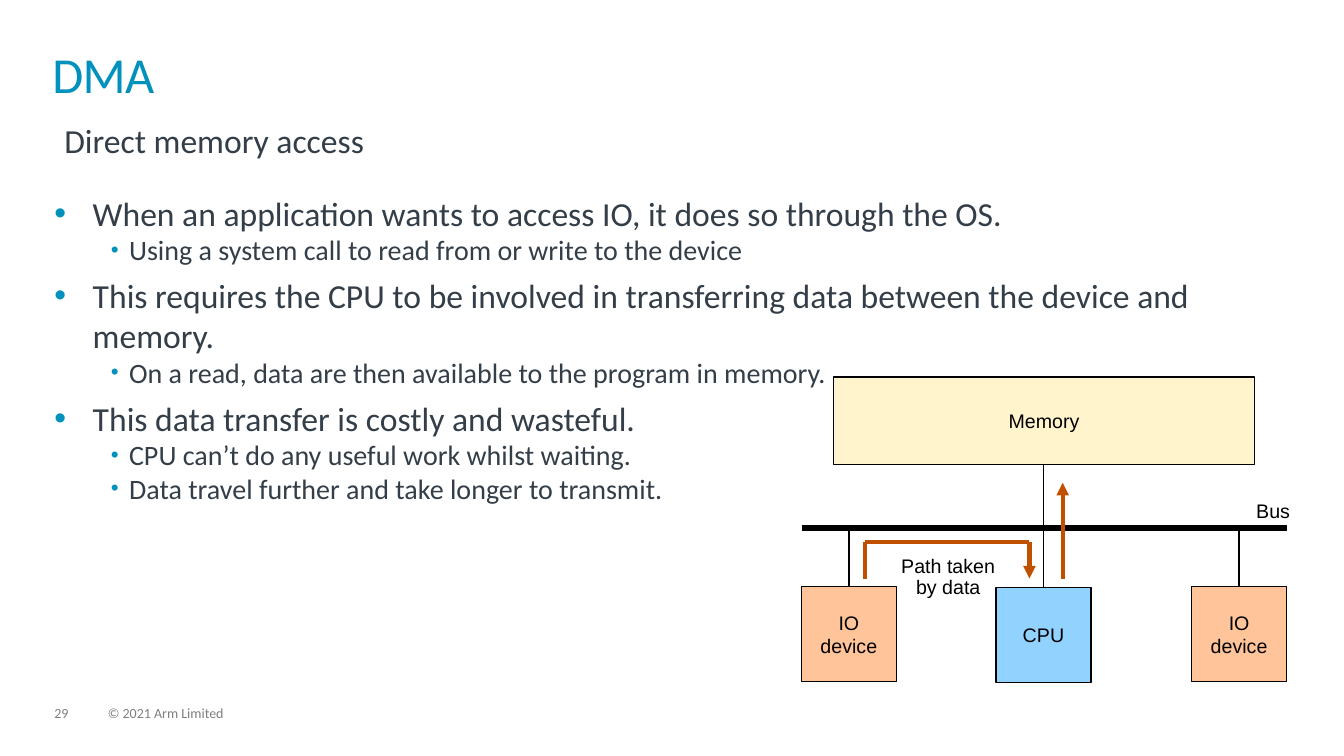
from lxml import etree
from pptx import Presentation
from pptx.dml.color import RGBColor
from pptx.enum.shapes import MSO_CONNECTOR, MSO_SHAPE
from pptx.enum.text import MSO_ANCHOR, MSO_AUTO_SIZE, PP_ALIGN
from pptx.oxml.ns import qn
from pptx.util import Pt

RECT = MSO_SHAPE.RECTANGLE
STRAIGHT = MSO_CONNECTOR.STRAIGHT
TOP, MIDDLE = MSO_ANCHOR.TOP, MSO_ANCHOR.MIDDLE
LEFT, CENTER = PP_ALIGN.LEFT, PP_ALIGN.CENTER
NO_FIT = MSO_AUTO_SIZE.NONE

BLACK = RGBColor(0x00, 0x00, 0x00)
GREY = RGBColor(0x7F, 0x7F, 0x7F)
SLATE = RGBColor(0x33, 0x3E, 0x48)
TEAL = RGBColor(0x00, 0x91, 0xBD)
CREAM = RGBColor(0xFF, 0xF4, 0xCC)
BLUE = RGBColor(0x92, 0xD2, 0xFF)
PEACH = RGBColor(0xFF, 0xC4, 0x99)
RUST = RGBColor(0xBF, 0x50, 0x00)

PX = 9144  # 100 px to the inch

TITLE = "DMA"
SUBTITLE = "Direct memory access"
POINTS = [
    (0, "When an application wants to access IO, it does so through the OS."),
    (1, "Using a system call to read from or write to the device"),
    (0, "This requires the CPU to be involved in transferring data between "
        "the device and memory."),
    (1, "On a read, data are then available to the program in memory."),
    (0, "This data transfer is costly and wasteful."),
    (1, "CPU can’t do any useful work whilst waiting."),
    (1, "Data travel further and take longer to transmit."),
]
# size, space before, left margin, hanging indent, bullet percent
LEVELS = [(24, 6, 38, 38, 100), (20, 0, 74, 18, 80)]

# text, box, size, font, colour, alignment, wrap
FOOTS = [
    ("29", (54, 701, 34, 15), 10, "Calibri", GREY, LEFT, True),
    ("© 2021 Arm Limited", (107, 701, 507, 15), 10, "Calibri", GREY, LEFT, True),
]
LABELS = [
    ("Bus", (1246, 498, 34, 21), 14, "Arial", BLACK, LEFT, False),
    ("Path taken by data", (892, 552, 97, 42), 14, "Arial", BLACK, CENTER, True),
]

BUS_Y, UNIT_Y, UNIT = 524, 582, 94
IO_XS = (795, 1182)
BUS_END = IO_XS[1] + UNIT
MEMORY = (827, 374, 417, 87)
MEM_X, MEM_BASE = MEMORY[0] + MEMORY[2] // 2, MEMORY[1] + MEMORY[3]
BLOCKS = [("Memory", MEMORY, CREAM),
          ("CPU", (988, UNIT_Y + 1, UNIT, UNIT), BLUE)]
BLOCKS += [("IO device", (x, UNIT_Y, UNIT, UNIT), PEACH) for x in IO_XS]

FLOW_Y, FLOW_END = 538, 574
FLOW_IN, FLOW_OUT = 858, 1021
# from, to, colour, points, arrowhead
WIRES = [((IO_XS[0], BUS_Y), (BUS_END, BUS_Y), BLACK, 4, False),
         ((MEM_X, UNIT_Y + 1), (MEM_X, MEM_BASE), BLACK, 1, False)]
WIRES += [((x + UNIT // 2, UNIT_Y), (x + UNIT // 2, BUS_Y), BLACK, 1, False)
          for x in IO_XS]
WIRES += [
    ((FLOW_IN, FLOW_END), (FLOW_IN, FLOW_Y), RUST, 3, False),
    ((FLOW_IN, FLOW_Y), (FLOW_OUT, FLOW_Y), RUST, 3, False),
    ((FLOW_OUT, FLOW_Y), (FLOW_OUT, FLOW_END), RUST, 3, True),
    ((1054, FLOW_END), (1054, 479), RUST, 3, True),
]


def emu(nums):
    return [n * PX for n in nums]


def style(item, size, face, color):
    item.font.size = Pt(size)
    item.font.name = face
    item.font.color.rgb = color


def clear(frame):
    """Remove the insets and fix the box size."""
    frame.margin_left = frame.margin_right = 0
    frame.margin_top = frame.margin_bottom = 0
    frame.auto_size = NO_FIT
    frame.word_wrap = True
    frame.vertical_anchor = TOP


def add_label(slide, text, box, size, face, color, align, wrap):
    frame = slide.shapes.add_textbox(*emu(box)).text_frame
    clear(frame)
    frame.word_wrap = wrap
    frame.text = text
    para = frame.paragraphs[0]
    para.alignment = align
    para.line_spacing = 0.9
    style(para.runs[0], size, face, color)


def add_bullet(para, left, hang, share):
    props = para._p.get_or_add_pPr()
    props.set("marL", str(left * PX))
    props.set("indent", str(-hang * PX))
    tint = etree.SubElement(props, qn("a:buClr"))
    etree.SubElement(tint, qn("a:srgbClr"), val=str(TEAL))
    etree.SubElement(props, qn("a:buSzPct"), val=str(share * 1000))
    etree.SubElement(props, qn("a:buFont"), typeface="Arial")
    etree.SubElement(props, qn("a:buChar"), char="•")


def add_points(slide):
    frame = slide.shapes.add_textbox(*emu((54, 191, 1223, 447))).text_frame
    clear(frame)
    frame.text = "\n".join(text for _, text in POINTS)
    for i, (para, (level, _)) in enumerate(zip(frame.paragraphs, POINTS)):
        size, gap, left, hang, share = LEVELS[level]
        para.level = level
        add_bullet(para, left, hang, share)
        para.space_before = Pt(gap if i else 0)
        style(para.runs[0], size, "Calibri", SLATE)


def add_block(slide, text, box, fill):
    block = slide.shapes.add_shape(RECT, *emu(box))
    block.shadow.inherit = False
    block.fill.solid()
    block.fill.fore_color.rgb = fill
    block.line.color.rgb = BLACK
    block.line.width = Pt(1)
    frame = block.text_frame
    frame.word_wrap = True
    frame.vertical_anchor = MIDDLE
    frame.text = text
    para = frame.paragraphs[0]
    para.alignment = CENTER
    style(para.runs[0], 14, "Arial", BLACK)


def add_wire(slide, start, end, color, width, arrow):
    wire = slide.shapes.add_connector(STRAIGHT, *emu(start + end))
    wire.line.color.rgb = color
    wire.line.width = Pt(width)
    if arrow:
        etree.SubElement(wire.line._get_or_add_ln(), qn("a:tailEnd"),
                         type="triangle")
    etree.SubElement(wire._element.spPr, qn("a:effectLst"))


def add_heads(slide):
    title = slide.shapes.title
    title.left, title.top, title.width, title.height = emu((52, 52, 1228, 72))
    frame = title.text_frame
    clear(frame)
    frame.text = TITLE
    para = frame.paragraphs[0]
    para.alignment = LEFT
    para.line_spacing = 0.85
    style(para.runs[0], 36, "Calibri", TEAL)
    para.runs[0].font._element.set("spc", "-50")

    frame = slide.shapes.add_textbox(*emu((54, 114, 1223, 38))).text_frame
    frame.word_wrap = True
    frame.text = SUBTITLE
    style(frame.paragraphs[0].runs[0], 24, "Calibri", SLATE)


def main():
    deck = Presentation()
    deck.slide_width, deck.slide_height = emu((1333, 750))
    slide = deck.slides.add_slide(deck.slide_layouts[5])
    add_heads(slide)
    add_points(slide)
    for block in BLOCKS:
        add_block(slide, *block)
    for wire in WIRES:
        add_wire(slide, *wire)
    for label in FOOTS + LABELS:
        add_label(slide, *label)
    deck.save("out.pptx")


if __name__ == "__main__":
    main()
